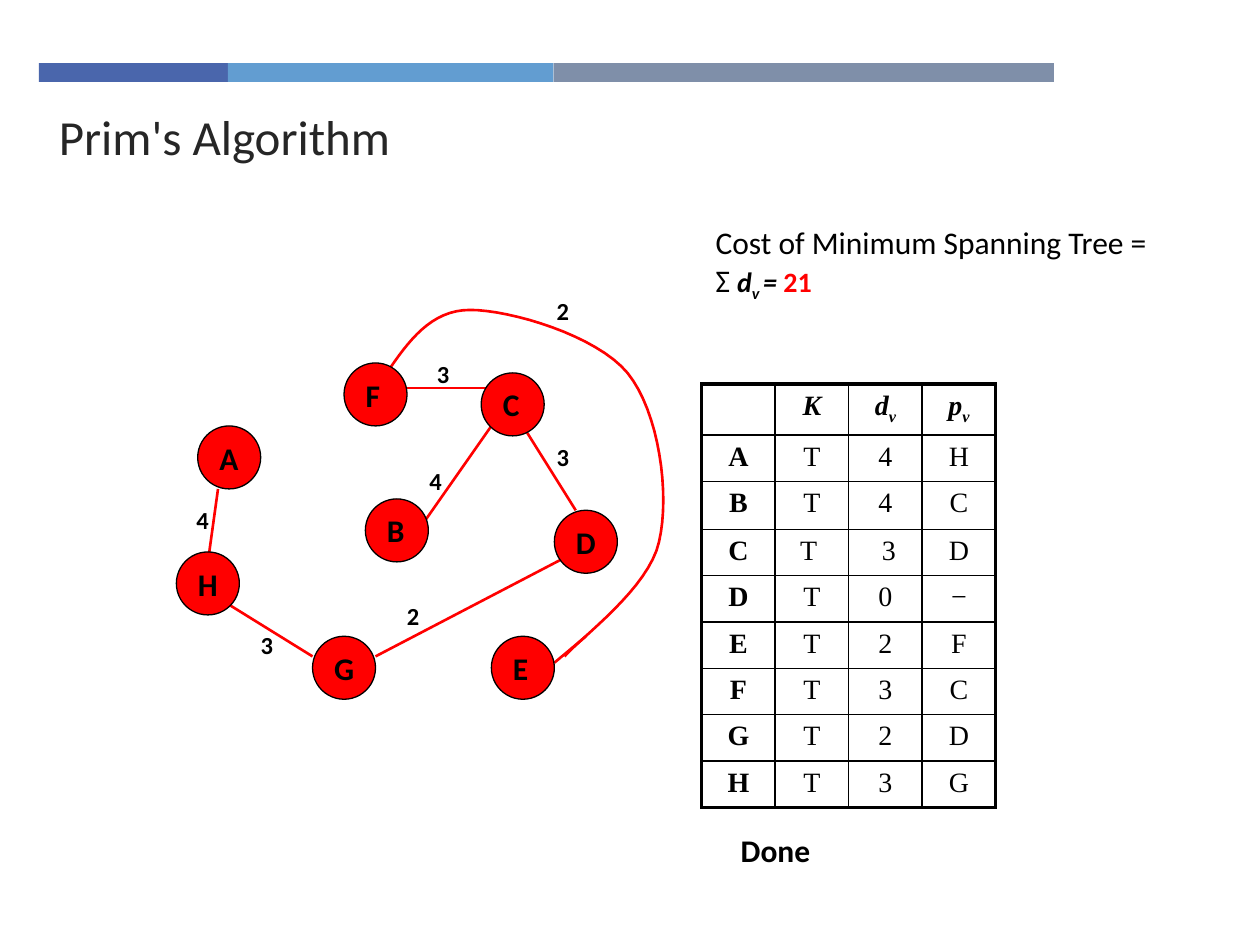
from lxml import etree
from pptx import Presentation, util as u
from pptx.dml.color import RGBColor
from pptx.enum import shapes, text
from pptx.oxml import ns

RED = RGBColor(0xFF, 0x00, 0x00)
BLACK = RGBColor(0x00, 0x00, 0x00)
CHARCOAL = RGBColor(0x26, 0x26, 0x26)
INDIGO = RGBColor(0x4A, 0x66, 0xAC)
SKY = RGBColor(0x62, 0x9D, 0xD1)
SLATE = RGBColor(0x7F, 0x8F, 0xA9)

NODE_SIZE = 36
LABEL_SIZE = 24
THIN, THICK = 1, 2.25


class Slide:
    """Draws styled elements on one page; lengths are in points."""

    body = {"name": "Calibri", "size": u.Pt(18)}
    bold = {**body, "bold": True}
    weight = {**bold, "size": u.Pt(14)}
    title = {**body, "size": u.Pt(28)}
    symbol = {**bold, "size": u.Pt(16), "italic": True}
    cell = {"name": "Times New Roman", "size": u.Pt(16)}
    cell_bold = {**cell, "bold": True}
    cell_symbol = {**cell_bold, "italic": True}

    def __init__(self, page):
        self.shapes = page.shapes

    def add_span(self, para, content, style, color=BLACK, subscript=False):
        span = para.add_run()
        span.text = content
        for key, value in style.items():
            setattr(span.font, key, value)
        span.font.color.rgb = color
        if subscript:
            span.font._element.set("baseline", "-25000")

    def text(self, x, y, width, height, *spans):
        box = self.shapes.add_textbox(*map(u.Pt, (x, y, width, height)))
        box.text_frame.word_wrap = True
        for span in spans:
            self.add_span(box.text_frame.paragraphs[0], *span)

    def bar(self, x, y, width, height, color):
        bar = self.shapes.add_shape(
            shapes.MSO_SHAPE.RECTANGLE, *map(u.Pt, (x, y, width, height)))
        bar.shadow.inherit = False
        bar.fill.solid()
        bar.fill.fore_color.rgb = color
        bar.line.fill.background()

    def node(self, name, x, y):
        node = self.shapes.add_shape(
            shapes.MSO_SHAPE.OVAL, *map(u.Pt, (x, y, NODE_SIZE, NODE_SIZE)))
        node.shadow.inherit = False
        node.fill.solid()
        node.fill.fore_color.rgb = RED
        node.line.color.rgb = BLACK
        node.line.width = u.Pt(0.75)
        frame = node.text_frame
        frame.word_wrap = False
        frame.vertical_anchor = text.MSO_ANCHOR.MIDDLE
        para = frame.paragraphs[0]
        para.alignment = text.PP_ALIGN.LEFT
        self.add_span(para, name, self.bold)

    def red_line(self, line):
        line.color.rgb = RED
        line.width = u.Pt(1.5)

    def edge(self, *ends):
        edge = self.shapes.add_connector(
            shapes.MSO_CONNECTOR.STRAIGHT, *map(u.Pt, ends))
        self.red_line(edge.line)
        etree.SubElement(edge._element.spPr, ns.qn("a:effectLst"))

    def curve(self, start, beziers, steps=16):
        points = [start]
        for c1, c2, end in beziers:
            begin = points[-1]
            for step in range(1, steps + 1):
                t = step / steps
                weights = ((1 - t) ** 3, 3 * t * (1 - t) ** 2,
                           3 * t * t * (1 - t), t ** 3)
                points.append(tuple(
                    sum(w * p[axis] for w, p in zip(weights, (begin, c1, c2, end)))
                    for axis in (0, 1)))
        points = [tuple(map(u.Pt, point)) for point in points]
        outline = self.shapes.build_freeform(*points[0], scale=1.0)
        outline.add_line_segments(points[1:], close=False)
        curve = outline.convert_to_shape()
        curve.shadow.inherit = False
        curve.fill.background()
        self.red_line(curve.line)

    def border(self, cell, side, width):
        line = etree.SubElement(cell._tc.get_or_add_tcPr(), ns.qn(f"a:ln{side}"),
                                w=str(u.Pt(width)))
        fill = etree.SubElement(line, ns.qn("a:solidFill"))
        etree.SubElement(fill, ns.qn("a:srgbClr"), val=str(BLACK))

    def table(self, x, y, col_width, heights, rows):
        count, width = len(rows), len(rows[0])
        grid = self.shapes.add_table(
            count, width,
            *map(u.Pt, (x, y, col_width * width, sum(heights)))).table
        grid.first_row = grid.horz_banding = False
        for column in grid.columns:
            column.width = u.Pt(col_width)
        for r, (row, height) in enumerate(zip(rows, heights)):
            grid.rows[r].height = u.Pt(height)
            for c, content in enumerate(row):
                cell = grid.cell(r, c)
                outer = {"L": c == 0, "R": c == width - 1,
                         "T": r == 0, "B": r == count - 1}
                for side, is_outer in outer.items():
                    self.border(cell, side, THICK if is_outer else THIN)
                cell.fill.background()
                para = cell.text_frame.paragraphs[0]
                para.alignment = text.PP_ALIGN.CENTER
                if r == 0:
                    # Header symbols: a letter and an optional subscript
                    for i, letter in enumerate(content):
                        self.add_span(para, letter, self.cell_symbol, subscript=i > 0)
                else:
                    self.add_span(para, content, self.cell if c else self.cell_bold)


def main():
    deck = Presentation()
    deck.slide_width, deck.slide_height = u.Pt(720), u.Pt(540)
    slide = Slide(deck.slides.add_slide(deck.slide_layouts[6]))

    # Top band
    x = 22.3
    for width, color in ((108, INDIGO), (186, SKY), (286, SLATE)):
        slide.bar(x, 36, width, 10.8, color)
        x += width

    # Title
    slide.text(26.6, 57.6, 515.5, 38.9, ("Prim's Algorithm", slide.title, CHARCOAL))

    # Spanning tree edges
    slide.curve((221, 213.1), (
        ((233.3, 195.1), (246.2, 177.1), (268.6, 177.1)),
        ((291.6, 177.1), (340.6, 191.5), (358.6, 213.1)),
        ((376.6, 235.4), (383, 282.2), (376.6, 309.6)),
        ((370.8, 336.2), (331.9, 364.3), (322.6, 375.1))))
    for ends in ((239, 303.1, 280.8, 243.4), (214.6, 375.1, 329, 315.4),
                 (118.8, 321.1, 124.6, 279.4), (230.4, 221.8, 286.6, 221.8),
                 (298.8, 243.4, 329, 291.6), (178.6, 375.1, 131, 345.6),
                 (334.8, 363.6, 316.8, 378.7)):
        slide.edge(*ends)

    # Vertices
    for name, x, y in (("A", 113, 243.4), ("H", 100.8, 315.4), ("B", 208.8, 285.1),
                       ("F", 196.6, 207.4), ("E", 280.8, 363.6), ("D", 316.8, 291.6),
                       ("C", 275, 213.1), ("G", 178.6, 363.6)):
        slide.node(name, x, y)

    # Edge weights
    for weight, x, y in (("4", 105.1, 285.1), ("2", 225.4, 339.8), ("3", 311, 249.1),
                         ("4", 238.3, 262.8), ("3", 242.6, 201.6),
                         ("3", 141.8, 356.4), ("2", 311, 165.6)):
        slide.text(x, y, LABEL_SIZE, LABEL_SIZE, (weight, slide.weight))

    # Total cost
    slide.text(401.8, 123.8, 272.2, 65.5,
               ("Cost of Minimum Spanning Tree = Σ ", slide.body),
               ("d", slide.symbol), ("v ", slide.symbol, BLACK, True),
               ("= ", slide.symbol), ("21", {**slide.symbol, "italic": False}, RED))

    # Vertex table
    rows = [("", "K", "dv", "pv"),
            ("A", "T", "4", "H"), ("B", "T", "4", "C"), ("C", "T ", " 3", "D"),
            ("D", "T", "0", "−"), ("E", "T", "2", "F"), ("F", "T", "3", "C"),
            ("G", "T", "2", "D"), ("H", "T", "3", "G")]
    slide.table(401, 219.4, 42, [29.2, 26.5, 27.4] + [26.5] * 6, rows)

    # Closing note
    slide.text(416.2, 471.6, 144, 36, ("Done", slide.bold))

    deck.save("out.pptx")


if __name__ == "__main__":
    main()
